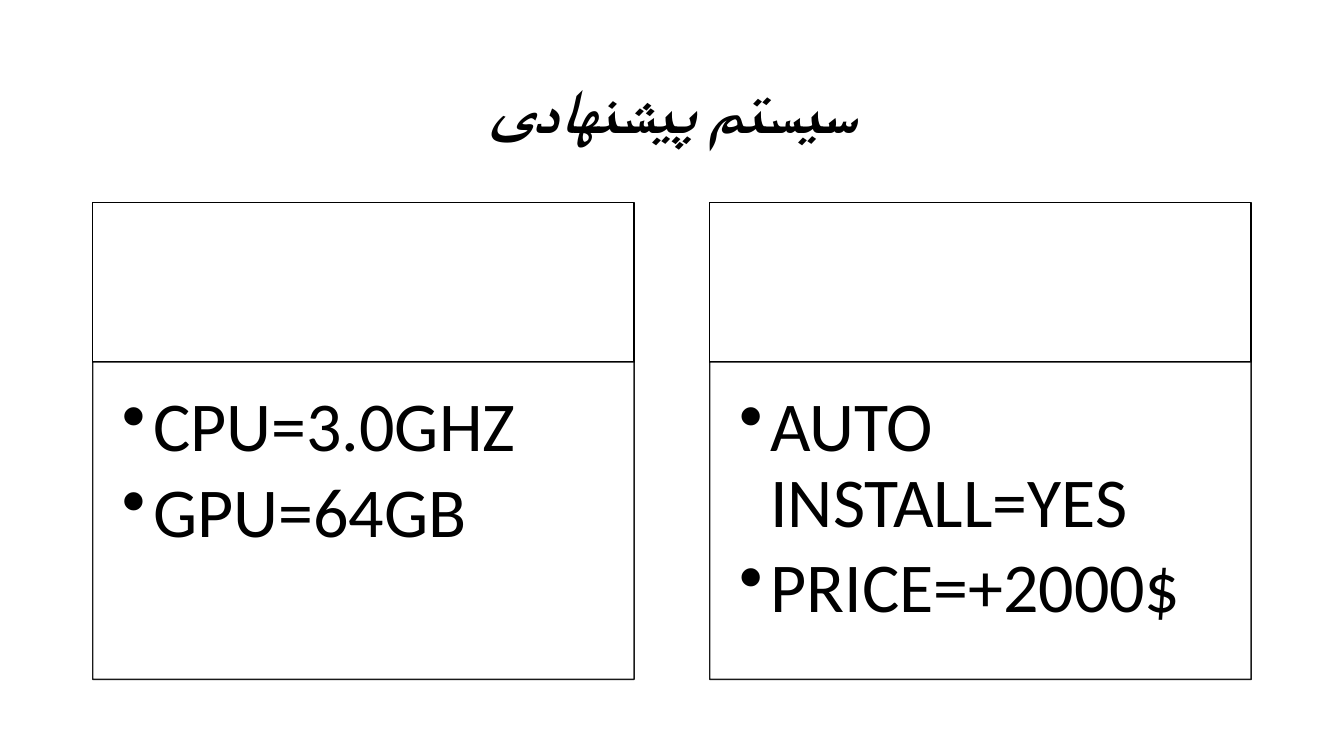
from dataclasses import dataclass

from lxml import etree
from pptx import Presentation
from pptx.dml.color import RGBColor
from pptx.enum import shapes, text
from pptx.oxml import ns
from pptx.util import Inches, Pt


@dataclass(frozen=True)
class Theme:
    font: str = "Calibri"
    ink: RGBColor = RGBColor(0, 0, 0)
    paper: RGBColor = RGBColor(255, 255, 255)
    title_size: int = 44
    body_size: int = 50
    line_width: int = 1


theme = Theme()


def add_run(paragraph, words, size):
    run = paragraph.add_run()
    run.text = words
    run.font.size = Pt(size)
    run.font.name = theme.font
    run.font.color.rgb = theme.ink
    return run


def add_panel(slide, left, top, width, height):
    """Add a white rectangle with a thin black outline."""
    panel = slide.shapes.add_shape(
        shapes.MSO_SHAPE.RECTANGLE, Inches(left), Inches(top), Inches(width), Inches(height))
    panel.shadow.inherit = False
    panel.fill.solid()
    panel.fill.fore_color.rgb = theme.paper
    panel.line.color.rgb = theme.ink
    panel.line.width = Pt(theme.line_width)
    return panel


presentation = Presentation()
presentation.slide_width = Inches(13.33)
presentation.slide_height = Inches(7.5)
slide = presentation.slides.add_slide(presentation.slide_layouts[5])

# Title, with the font also set for Persian script
title = slide.shapes.title
title.left, title.top = Inches(0.92), Inches(0.4)
title.width, title.height = Inches(11.5), Inches(1.45)
title.text_frame.auto_size = text.MSO_AUTO_SIZE.NONE
title.text_frame.vertical_anchor = text.MSO_ANCHOR.MIDDLE
paragraph = title.text_frame.paragraphs[0]
paragraph.alignment = text.PP_ALIGN.CENTER
paragraph.line_spacing = 0.9
paragraph._p.get_or_add_pPr().set("rtl", "1")
run = add_run(paragraph, "سیستم پیشنهادی", theme.title_size)
run.font.bold = True
run.font.italic = True
etree.SubElement(run._r.get_or_add_rPr(), ns.qn("a:cs"), typeface=theme.font)

# Two columns: an empty header above a bulleted body
columns = [
    ["CPU=3.0GHZ", "GPU=64GB"],
    ["AUTO INSTALL=YES", "PRICE=+2000$"],
]
column_left, column_step, column_width = 0.92, 6.12, 5.37
header_top, header_height = 2.01, 1.58
body_height = 3.15

for index, items in enumerate(columns):
    left = column_left + index * column_step
    add_panel(slide, left, header_top, column_width, header_height)
    body = add_panel(slide, left, header_top + header_height, column_width, body_height)
    for color in body._element.spPr.iter(ns.qn("a:srgbClr")):
        etree.SubElement(color, ns.qn("a:alpha"), val="90000")

    frame = body.text_frame
    frame.word_wrap = True
    frame.vertical_anchor = text.MSO_ANCHOR.TOP
    frame.margin_left = frame.margin_top = Inches(0.29)
    frame.margin_right, frame.margin_bottom = Inches(0.39), Inches(0.44)
    for number, item in enumerate(items):
        paragraph = frame.add_paragraph() if number else frame.paragraphs[0]
        paragraph.level = 1
        paragraph.alignment = text.PP_ALIGN.LEFT
        paragraph.line_spacing = 0.9
        paragraph.space_after = Pt(7)
        properties = paragraph._p.get_or_add_pPr()
        properties.set("marL", str(Inches(0.31)))
        properties.set("indent", str(Inches(-0.31)))
        etree.SubElement(properties, ns.qn("a:buChar"), char="•")
        add_run(paragraph, item, theme.body_size)

presentation.save("out.pptx")
